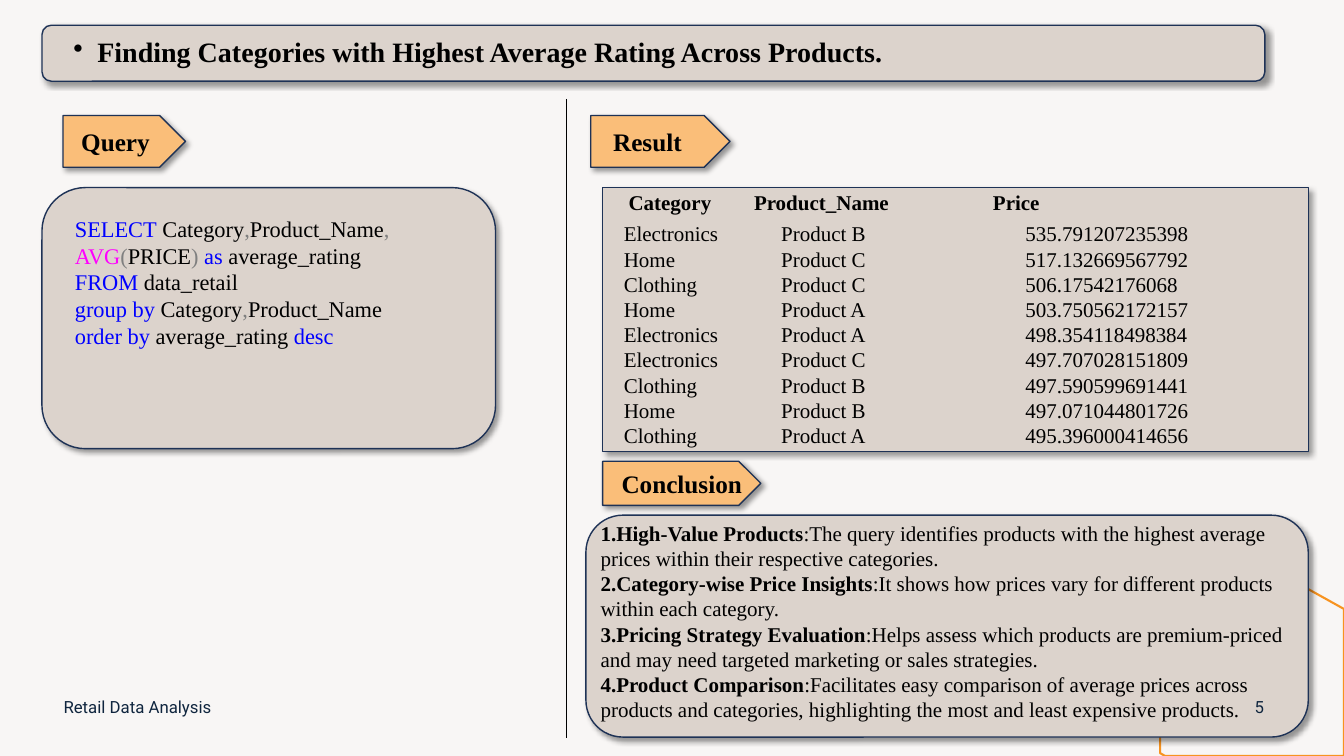
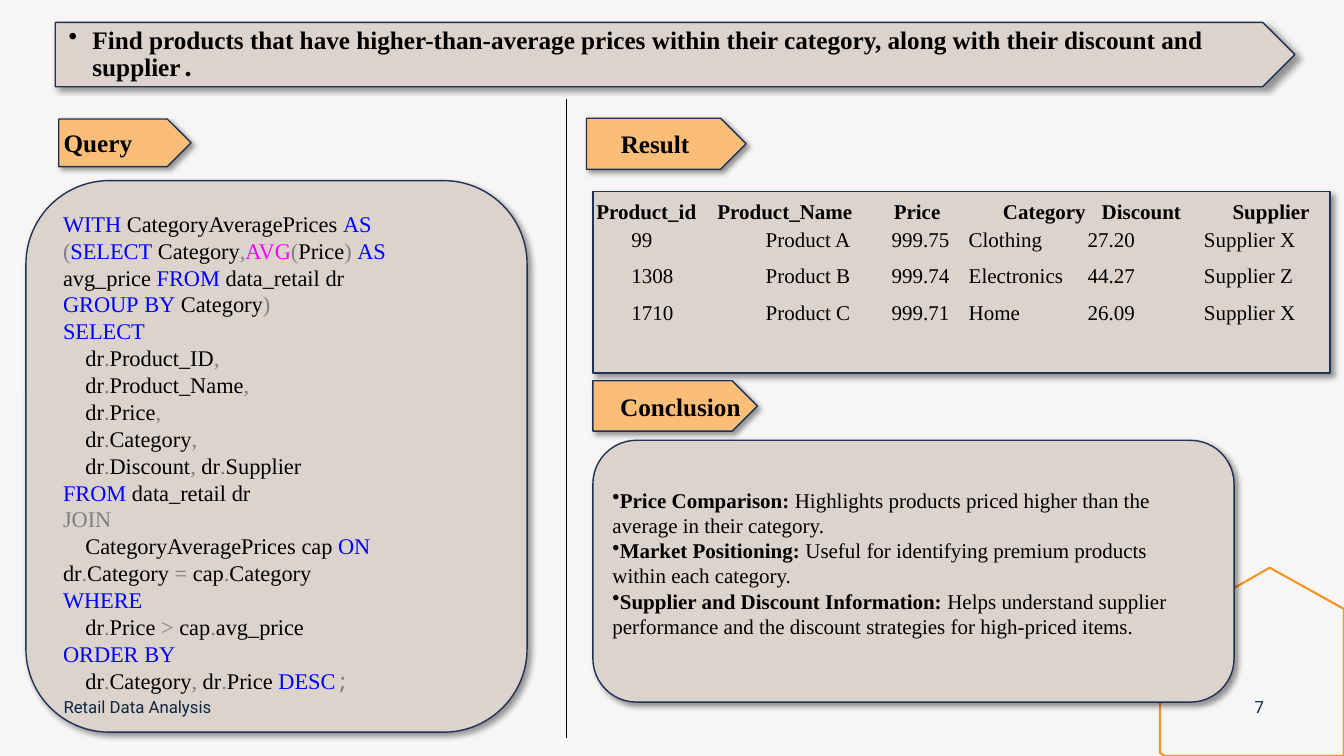
"""Build two retail analysis slides: query, result table and conclusion."""
from itertools import groupby

from lxml import etree
from pptx import Presentation
from pptx import util as u
from pptx.dml.color import RGBColor
from pptx.enum import shapes, text
from pptx.oxml.ns import qn


class Theme:
    background = "F8F6F5"
    panel = "DCD3CC"
    label = "FABE79"
    outline = "1E3256"
    accent = "F79320"
    footer = "0F253E"
    ink = "000000"
    keyword = "0000FF"
    function = "FF00FF"
    muted = "808080"
    serif = "Times New Roman"
    sans = "Roboto"
    mono = "Noto Sans Mono"
    label_size = 18
    code_size = 16
    body_size = 15
    footer_size = 12
    code_leading = 19.2
    body_leading = 18


ROUNDED = shapes.MSO_SHAPE.ROUNDED_RECTANGLE
PENTAGON = shapes.MSO_SHAPE.PENTAGON
RECTANGLE = shapes.MSO_SHAPE.RECTANGLE
NO_STYLE = "{2D5ABB26-0587-4C30-8999-92F81FD0307C}"
KEYWORDS = {"select", "as", "from", "group", "by", "order", "desc", "with", "on", "where"}
HEXAGON = [(907, 405.5), (960, 435), (960, 540), (832.3, 540), (828.7, 538), (828.7, 450)]
DIVIDER = (404.6, 70.6, 404.6, 527)
FOOTER_TEXT = "Retail Data Analysis"

SLIDES = [
    {
        "number": "5",
        "title": [("Finding Categories with Highest Average Rating Across Products.", Theme.serif)],
        "title_size": 20,
        "title_at": (52.5, 18, 850, 40),
        "banner": (ROUNDED, (30, 18, 873.5, 40)),
        "panels": [
            (RECTANGLE, (430.5, 134, 504, 188.5)),
            (ROUNDED, (418.5, 368, 516, 158.5)),
            (ROUNDED, (30, 134, 324, 186.5)),
        ],
        "labels": [
            ("Query", (45, 82.5, 87.5, 37), 13),
            ("Result", (422, 82.5, 99.5, 37), 16),
            ("Conclusion", (430.5, 329.5, 113, 31.5), 13.5),
        ],
        "code_at": (53.5, 153.5, 292, 100),
        "code": [
            "SELECT Category,Product_Name,",
            "AVG(PRICE) as average_rating",
            "FROM data_retail",
            "group by Category,Product_Name",
            "order by average_rating desc",
        ],
        "table_top": 137,
        "row_heights": (22.4, 18),
        "edges": [430, 538, 709, 934],
        "header_insets": [19, 0.6, 0.3],
        "cell_insets": [15.6, 20, 23.5],
        "rows": [
            ("Category", "Product_Name", "Price"),
            ("Electronics", "Product B", "535.791207235398"),
            ("Home", "Product C", "517.132669567792"),
            ("Clothing", "Product C", "506.17542176068"),
            ("Home", "Product A", "503.750562172157"),
            ("Electronics", "Product A", "498.354118498384"),
            ("Electronics", "Product C", "497.707028151809"),
            ("Clothing", "Product B", "497.590599691441"),
            ("Home", "Product B", "497.071044801726"),
            ("Clothing", "Product A", "495.396000414656"),
        ],
        "conclusion_at": (429, 371.7, 512, 146),
        "bullet": ("a:buAutoNum", {"type": "arabicPeriod"}),
        "conclusion": [
            ("High-Value Products", ":The query identifies products with the highest average "
             "prices within their respective categories."),
            ("Category-wise Price Insights", ":It shows how prices vary for different products "
             "within each category."),
            ("Pricing Strategy Evaluation", ":Helps assess which products are premium-priced "
             "and may need targeted marketing or sales strategies."),
            ("Product Comparison", ":Facilitates easy comparison of average prices across "
             "products and categories, highlighting the most and least expensive products."),
        ],
    },
    {
        "number": "7",
        "title": [("Find products that have higher-than-average prices within their category, "
                   "along with their discount and supplier", Theme.serif), (".", Theme.mono)],
        "title_size": 18,
        "title_at": (49, 16, 843, 46),
        "banner": (PENTAGON, (39.5, 16, 885.5, 46)),
        "panels": [
            (RECTANGLE, (423.5, 137, 526.5, 129.5)),
            (ROUNDED, (18.5, 129, 358, 394)),
            (ROUNDED, (423.5, 314.5, 458, 187)),
        ],
        "labels": [
            ("Query", (42, 85, 94.5, 34), 3.5),
            ("Result", (419, 84.5, 114, 36.5), 24.5),
            ("Conclusion", (423.5, 272, 117.5, 36), 19.5),
        ],
        "code_at": (45, 150, 292, 346),
        "code": [
            "WITH CategoryAveragePrices AS",
            "(SELECT Category,AVG(Price) AS avg_price FROM data_retail dr",
            "GROUP BY Category)",
            "SELECT",
            "\tdr.Product_ID,",
            "\tdr.Product_Name,",
            "\tdr.Price,",
            "\tdr.Category,",
            "\tdr.Discount, dr.Supplier",
            "FROM data_retail dr",
            "JOIN",
            "\tCategoryAveragePrices cap ON dr.Category = cap.Category",
            "WHERE",
            "\tdr.Price > cap.avg_price",
            "ORDER BY",
            "\tdr.Category, dr.Price DESC;",
        ],
        "table_top": 143.4,
        "row_heights": (20, 26),
        "edges": [426, 512, 636, 690, 777, 858, 950],
        "header_insets": [0, 0.5, 2.5, 26.5, 10, 22.5],
        "cell_insets": [25, 35, 1, 2, 0, 2],
        "rows": [
            ("Product_id", "Product_Name", "Price", "Category", "Discount", "Supplier"),
            ("99", "Product A", "999.75", "Clothing", "27.20", "Supplier X"),
            ("1308", "Product B", "999.74", "Electronics", "44.27", "Supplier Z"),
            ("1710", "Product C", "999.71", "Home", "26.09", "Supplier X"),
        ],
        "conclusion_at": (437.5, 348, 413, 110),
        "bullet": ("a:buChar", {"char": "•"}),
        "conclusion": [
            ("Price Comparison:", " Highlights products priced higher than the average in "
             "their category."),
            ("Market Positioning:", " Useful for identifying premium products within each "
             "category."),
            ("Supplier and Discount Information:", " Helps understand supplier performance "
             "and the discount strategies for high-priced items."),
        ],
    },
]


def add_box(slide, at, preset=None, fill=Theme.panel, inset=0):
    """Add a shadowed shape, or a text box without a preset, and return its text frame."""
    place = [u.Pt(length) for length in at]
    if preset is None:
        shape = slide.shapes.add_textbox(*place)
    else:
        shape = slide.shapes.add_shape(preset, *place)
        shape.fill.solid()
        shape.fill.fore_color.rgb = RGBColor.from_string(fill)
        shape.line.color.rgb = RGBColor.from_string(Theme.outline)
        shape.line.width = u.Pt(1)
        shape.shadow.inherit = False
        effects = shape._element.spPr.find(qn("a:effectLst"))
        shadow = etree.SubElement(effects, qn("a:outerShdw"), blurRad=str(u.Pt(4)),
                                  dist=str(u.Pt(3)), dir="2700000", algn="tl", rotWithShape="0")
        color = etree.SubElement(shadow, qn("a:srgbClr"), val="000000")
        etree.SubElement(color, qn("a:alpha"), val="40000")
    frame = shape.text_frame
    frame.margin_left = u.Pt(inset)
    frame.margin_top = frame.margin_right = frame.margin_bottom = 0
    frame.word_wrap = preset is None
    return frame


def add_run(paragraph, words, size, color=Theme.ink, bold=False, font=Theme.serif):
    """Add one formatted run to a paragraph."""
    run = paragraph.add_run()
    run.text = words
    run.font.size = u.Pt(size)
    run.font.color.rgb = RGBColor.from_string(color)
    run.font.bold = bold
    run.font.name = font


presentation = Presentation()
presentation.slide_width, presentation.slide_height = u.Pt(960), u.Pt(540)
background = presentation.slide_master.background.fill
background.solid()
background.fore_color.rgb = RGBColor.from_string(Theme.background)

for content in SLIDES:
    slide = presentation.slides.add_slide(presentation.slide_layouts[5])

    corners = [(u.Pt(x), u.Pt(y)) for x, y in HEXAGON]
    builder = slide.shapes.build_freeform(*corners[0])
    builder.add_line_segments(corners[1:], close=True)
    hexagon = builder.convert_to_shape()
    hexagon.fill.background()
    hexagon.line.color.rgb = RGBColor.from_string(Theme.accent)
    hexagon.line.width = u.Pt(1.5)
    hexagon.shadow.inherit = False

    for preset, at in content["panels"] + [content["banner"]]:
        add_box(slide, at, preset)

    title = slide.shapes.title
    slide.shapes._spTree.append(title._element)
    title.left, title.top, title.width, title.height = [u.Pt(x) for x in content["title_at"]]
    frame = title.text_frame
    frame.auto_size = text.MSO_AUTO_SIZE.NONE
    frame.vertical_anchor = text.MSO_ANCHOR.MIDDLE
    frame.margin_left = frame.margin_top = frame.margin_bottom = 0
    paragraph = frame.paragraphs[0]
    paragraph.alignment = text.PP_ALIGN.LEFT
    paragraph.line_spacing = 0.9
    properties = paragraph._p.get_or_add_pPr()
    properties.set("marL", str(u.Pt(17)))
    properties.set("indent", str(u.Pt(-17)))
    etree.SubElement(properties, qn("a:buChar"), char="•")
    for words, font in content["title"]:
        add_run(paragraph, words, content["title_size"], bold=True, font=font)

    divider = slide.shapes.add_connector(shapes.MSO_CONNECTOR.STRAIGHT,
                                         *[u.Pt(length) for length in DIVIDER])
    divider.line.color.rgb = RGBColor.from_string(Theme.ink)
    divider.line.width = u.Pt(0.5)
    etree.SubElement(divider._element.spPr, qn("a:effectLst"))

    for words, at, inset in content["labels"]:
        frame = add_box(slide, at, PENTAGON, Theme.label, inset)
        frame.vertical_anchor = text.MSO_ANCHOR.MIDDLE
        frame.paragraphs[0].alignment = text.PP_ALIGN.LEFT
        add_run(frame.paragraphs[0], words, Theme.label_size, bold=True)

    frame = add_box(slide, content["code_at"])
    for index, line in enumerate(content["code"]):
        paragraph = frame.add_paragraph() if index else frame.paragraphs[0]
        paragraph.line_spacing = u.Pt(Theme.code_leading)
        if line.startswith("\t"):
            paragraph._p.get_or_add_pPr().set("indent", str(u.Pt(16)))
        for is_word, letters in groupby(line.strip(), lambda c: c.isalnum() or c == "_"):
            token = "".join(letters)
            color = Theme.ink
            if not is_word or token == "JOIN":
                color = Theme.muted
            elif token == "AVG":
                color = Theme.function
            elif token.lower() in KEYWORDS:
                color = Theme.keyword
            font = Theme.mono if token == ";" else Theme.serif
            add_run(paragraph, token, Theme.code_size, color, font=font)

    rows, edges = content["rows"], content["edges"]
    header_height, row_height = content["row_heights"]
    height = header_height + row_height * (len(rows) - 1)
    place = (edges[0], content["table_top"], edges[-1] - edges[0], height)
    table = slide.shapes.add_table(len(rows), len(rows[0]), *[u.Pt(x) for x in place]).table
    table._tbl.tblPr.find(qn("a:tableStyleId")).text = NO_STYLE
    table.horz_banding = False
    for column, left, right in zip(table.columns, edges, edges[1:]):
        column.width = u.Pt(right - left)
    for r, values in enumerate(rows):
        table.rows[r].height = u.Pt(row_height if r else header_height)
        insets = content["cell_insets" if r else "header_insets"]
        for c, (value, inset) in enumerate(zip(values, insets)):
            cell = table.cell(r, c)
            cell.fill.background()
            cell.margin_left = u.Pt(inset)
            cell.margin_top = cell.margin_right = cell.margin_bottom = 0
            add_run(cell.text_frame.paragraphs[0], value, Theme.body_size, bold=r == 0)

    frame = add_box(slide, content["conclusion_at"])
    tag, attributes = content["bullet"]
    for index, (heading, detail) in enumerate(content["conclusion"]):
        paragraph = frame.add_paragraph() if index else frame.paragraphs[0]
        paragraph.line_spacing = u.Pt(Theme.body_leading)
        etree.SubElement(paragraph._p.get_or_add_pPr(), qn(tag), attributes)
        add_run(paragraph, heading, Theme.body_size, bold=True)
        add_run(paragraph, detail, Theme.body_size)

    for words, at, alignment in [
        (FOOTER_TEXT, (45.4, 490, 310, 29), text.PP_ALIGN.LEFT),
        (content["number"], (881.5, 490, 36, 29), text.PP_ALIGN.CENTER),
    ]:
        frame = add_box(slide, at)
        frame.vertical_anchor = text.MSO_ANCHOR.MIDDLE
        frame.paragraphs[0].alignment = alignment
        add_run(frame.paragraphs[0], words, Theme.footer_size, Theme.footer, font=Theme.sans)

presentation.save("out.pptx")
